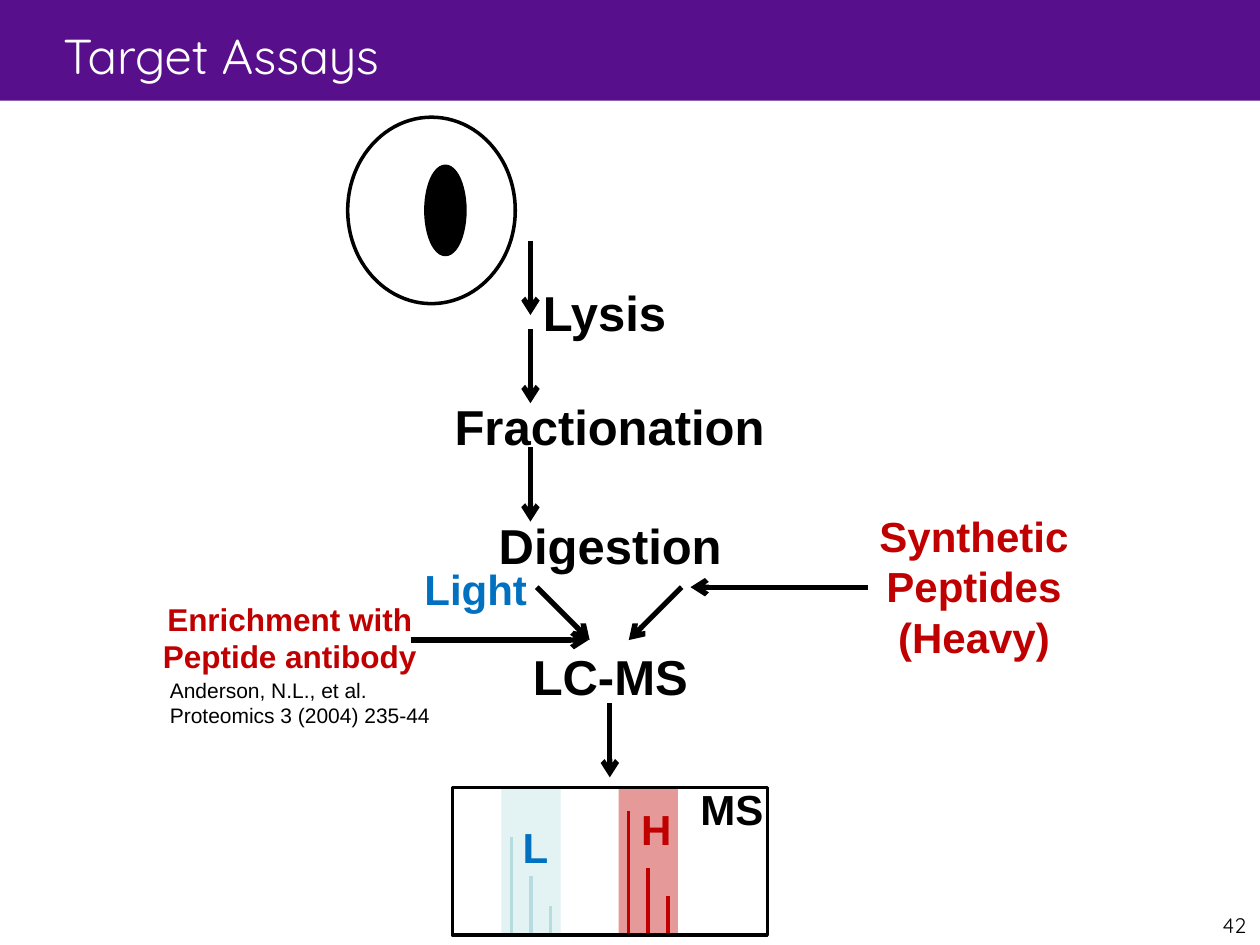
from lxml import etree
from pptx import Presentation
from pptx.dml.color import RGBColor
from pptx.enum.shapes import MSO_CONNECTOR, MSO_SHAPE
from pptx.enum.text import MSO_ANCHOR, PP_ALIGN
from pptx.oxml.ns import qn
from pptx.util import Inches, Pt

STRAIGHT = MSO_CONNECTOR.STRAIGHT
RECT, OVAL = MSO_SHAPE.RECTANGLE, MSO_SHAPE.OVAL
LEFT, CENTER, RIGHT = PP_ALIGN.LEFT, PP_ALIGN.CENTER, PP_ALIGN.RIGHT
TOP = MSO_ANCHOR.TOP
BLACK, RED, BLUE = "000000", "C00000", "0070C0"
color = RGBColor.from_string

prs = Presentation()
prs.slide_width, prs.slide_height = Inches(10), Inches(7.5)
s = prs.slides.add_slide(prs.slide_layouts[5])


def add_box(kind, box, fill=None, line=None, alpha=None):
    sp = s.shapes.add_shape(kind, *map(Inches, box))
    sp.shadow.inherit = False
    if fill:
        sp.fill.solid()
        sp.fill.fore_color.rgb = color(fill)
    else:
        sp.fill.background()
    if line:
        sp.line.color.rgb = color(line)
        sp.line.width = Pt(2)
    else:
        sp.line.fill.background()
    if alpha:
        clr = sp.fill._xPr.find(qn("a:solidFill"))[0]
        etree.SubElement(clr, qn("a:alpha"), val=str(alpha * 1000))
    return sp


def add_line(x1, y1, x2, y2, line, width, arrow=False):
    cxn = s.shapes.add_connector(STRAIGHT, *map(Inches, (x1, y1, x2, y2)))
    cxn.line.color.rgb = color(line)
    cxn.line.width = Pt(width)
    if arrow:
        etree.SubElement(cxn.line._get_or_add_ln(), qn("a:tailEnd"), type="arrow")
    etree.SubElement(cxn._element.spPr, qn("a:effectLst"))


# Title on its band
band = add_box(RECT, (0, 0, 10, 0.8), "580F8B")
s.shapes._spTree.insert(2, band._element)
title = s.shapes.title
title.left, title.top = Inches(0.4), Inches(0.15)
title.width, title.height = Inches(2.74), Inches(0.6)
tf = title.text_frame
tf.text = "Target Assays"
tf.word_wrap = False
tf.vertical_anchor = TOP
p = tf.paragraphs[0]
p.alignment = LEFT
p.font.size, p.font.name = Pt(28), "Quicksand"
p.font.color.rgb = color("FFFFFF")

# Cell with nucleus
add_box(OVAL, (3.38, 1.32, 0.31, 0.7), BLACK, BLACK)
add_box(OVAL, (2.76, 0.93, 1.33, 1.48), line=BLACK)

# Light and heavy peaks in the spectrum
BASE = 7.42
for left, tint, peak, tops in [
    (3.98, "BBE0E3", "B6DCDF", (6.64, 6.95, 7.19)),
    (4.91, RED, RED, (6.44, 6.89, 7.11)),
]:
    add_box(RECT, (left, 6.25, 0.47, 1.17), tint, alpha=40)
    for i, top in enumerate(tops):
        x = left + 0.08 + i * 0.155
        add_line(x, top, x, BASE, peak, 2)
add_box(RECT, (3.59, 6.25, 2.5, 1.17), line=BLACK)

# Workflow arrows
for ends in [
    (4.21, 1.91, 4.21, 2.5),
    (4.21, 2.61, 4.21, 3.2),
    (4.21, 3.55, 4.21, 4.14),
    (4.26, 4.66, 4.68, 5.08),
    (5.41, 4.66, 4.99, 5.08),
    (6.89, 4.66, 5.48, 4.66),
    (3.26, 5.08, 4.67, 5.08),
    (4.84, 5.58, 4.84, 6.17),
]:
    add_line(*ends, BLACK, 3, arrow=True)

# Labels: text, box, size, colour, alignment, bold, font
for text, box, size, ink, align, bold, font in [
    ("Lysis", (4.21, 2.19, 1.19, 0.57), 28, BLACK, LEFT, True, "Arial"),
    ("Fractionation", (3.51, 3.1, 2.69, 0.57), 28, BLACK, LEFT, True, "Arial"),
    ("Digestion", (3.86, 4.04, 1.99, 0.57), 28, BLACK, LEFT, True, "Arial"),
    ("LC-MS", (4.13, 5.08, 1.45, 0.57), 28, BLACK, LEFT, True, "Arial"),
    ("Light", (3.27, 4.42, 1.02, 0.51), 24, BLUE, LEFT, True, "Arial"),
    ("L", (4.05, 6.47, 0.41, 0.51), 24, BLUE, LEFT, True, "Arial"),
    ("H", (4.99, 6.33, 0.45, 0.51), 24, RED, LEFT, True, "Arial"),
    ("MS", (5.46, 6.17, 0.71, 0.51), 24, BLACK, LEFT, True, "Arial"),
    ("Synthetic\nPeptides\n(Heavy)", (6.87, 4, 1.72, 1.31), 24, RED, CENTER, True, "Arial"),
    ("Enrichment with\nPeptide antibody", (1.18, 4.71, 2.24, 0.71), 18, RED, CENTER, True, "Arial"),
    ("Anderson, N.L., et al.\nProteomics 3 (2004) 235-44", (1.25, 5.33, 2.36, 0.5),
     12, BLACK, LEFT, False, "Arial"),
    ("42", (9.29, 7.19, 0.7, 0.3), 12, BLACK, RIGHT, False, "Quicksand"),
]:
    tf = s.shapes.add_textbox(*map(Inches, box)).text_frame
    tf.word_wrap = False
    tf.text = text
    for p in tf.paragraphs:
        p.alignment = align
        p.font.size, p.font.name, p.font.bold = Pt(size), font, bold
        p.font.color.rgb = color(ink)

prs.save("out.pptx")
